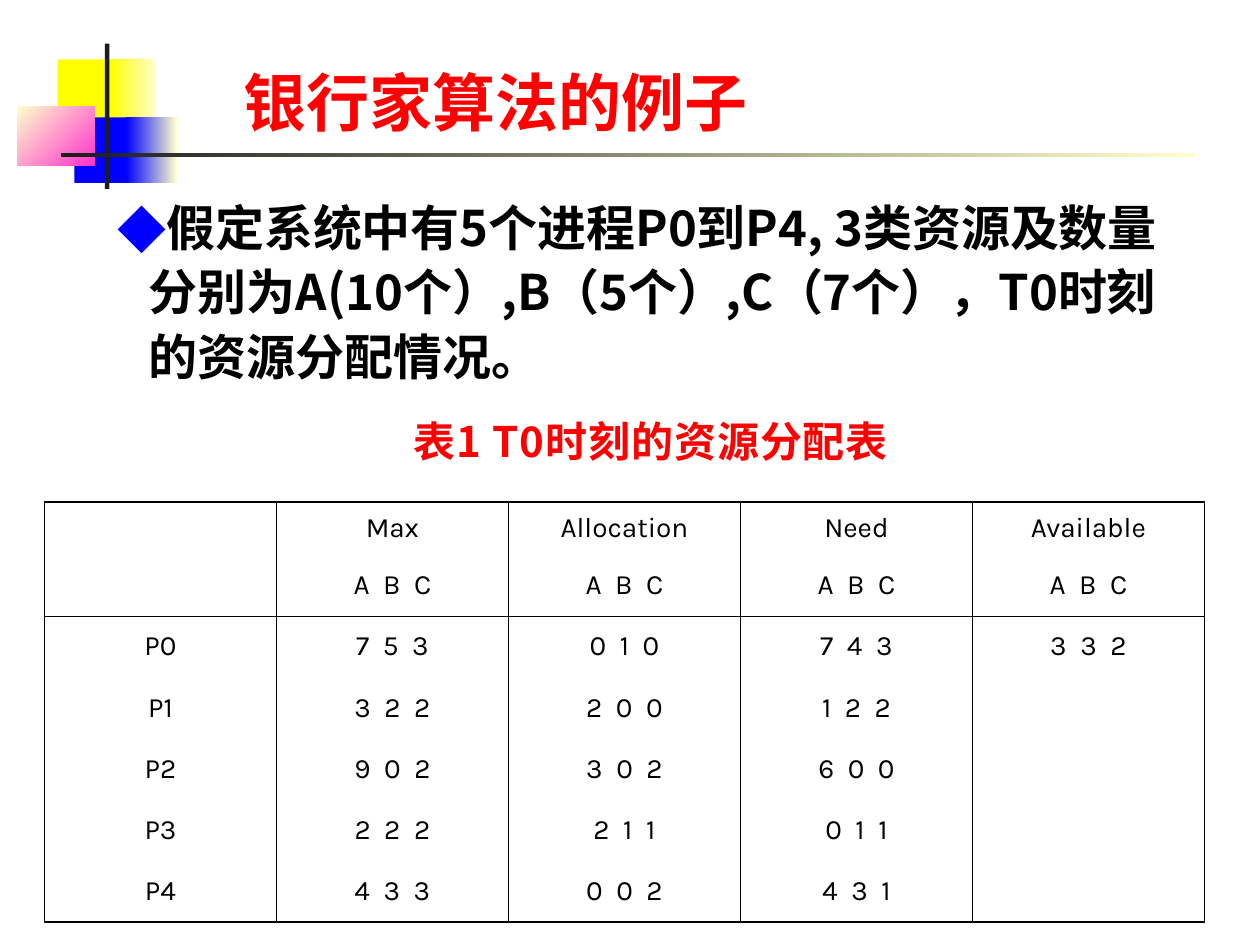
from lxml.etree import SubElement
from pptx import Presentation
from pptx.dml.color import RGBColor
from pptx.enum.shapes import MSO_SHAPE
from pptx.enum.text import MSO_ANCHOR, MSO_AUTO_SIZE, PP_ALIGN
from pptx.oxml import parse_xml
from pptx.oxml.ns import nsdecls, qn
from pptx.util import Pt

COLORS = {"yellow": "FFFF00", "cream": "FFFFCC", "blue": "0000FF", "pink": "FF33CC",
          "dark": "1C1C1C", "red": "FF0000", "black": "000000"}
HEADING_FONT, TABLE_FONT = "Noto Sans CJK SC", "Karla"
THIN, THICK = 0.45, 1.08

# left, top, width, height, start colour, end colour, clockwise angle
ORNAMENTS = [
    (33, 34, 35, 37.5, "yellow", None, 0),
    (63, 34, 26, 37.5, "yellow", "cream", 0),
    (42.5, 67, 33, 37.5, "blue", None, 0),
    (72, 67, 29, 37.5, "blue", "cream", 0),
    (10, 61, 44, 33.5, "cream", "pink", 45),
    (60, 25, 2.5, 83, "dark", None, 0),
    (35, 87.3, 648, 2.5, "dark", "cream", 0),
]

ROWS = [
    ["", "Max", "Allocation", "Need", "Available"],
    [""] + ["A B C"] * 4,
    ["P0", "7 5 3", "0 1 0", "7 4 3", "3 3 2"],
    ["P1", "3 2 2", "2 0 0", "1 2 2", ""],
    ["P2", "9 0 2", "3 0 2", "6 0 0", ""],
    ["P3", "2 2 2", "2 1 1", "0 1 1", ""],
    ["P4", "4 3 3", "0 0 2", "4 3 1", ""],
]


def rgb(name):
    return RGBColor.from_string(COLORS[name])


def add_ornament(page, left, top, width, height, start, end, angle):
    shape = page.shapes.add_shape(MSO_SHAPE.RECTANGLE, Pt(left), Pt(top), Pt(width), Pt(height))
    shape.shadow.inherit = False
    shape.line.fill.background()
    if end is None:
        shape.fill.solid()
        shape.fill.fore_color.rgb = rgb(start)
        return
    shape.fill.gradient()
    shape.fill.gradient_angle = (360 - angle) % 360
    for stop, name in zip(shape.fill.gradient_stops, (start, end)):
        stop.color.rgb = rgb(name)


def format_para(para, font, size, color, bold=False, tracking=0):
    for span in para.runs:
        span.font.name = font
        span.font.size = Pt(size)
        span.font.bold = bold
        span.font.color.rgb = rgb(color)
        SubElement(span.font._element, qn("a:ea")).set("typeface", font)
        if tracking:
            span.font._element.set("spc", str(round(tracking * 100)))


def add_text(page, text, bounds, size, color, tracking=0):
    box = page.shapes.add_textbox(*[Pt(length) for length in bounds])
    box.text_frame.word_wrap = True
    para = box.text_frame.paragraphs[0]
    para.text = text
    format_para(para, HEADING_FONT, size, color, True, tracking)
    return box.text_frame, para


def add_bullet(para, char, color, indent):
    properties = para._p.get_or_add_pPr()
    properties.set("marL", str(Pt(indent)))
    properties.set("indent", str(-Pt(indent)))
    bullet_color = SubElement(properties, qn("a:buClr"))
    SubElement(bullet_color, qn("a:srgbClr")).set("val", COLORS[color])
    SubElement(properties, qn("a:buFont")).set("typeface", HEADING_FONT)
    SubElement(properties, qn("a:buChar")).set("char", char)


def set_borders(cell, widths):
    properties = cell._tc.get_or_add_tcPr()
    for index, (side, width) in enumerate(zip("LRTB", widths)):
        paint = f'<a:solidFill><a:srgbClr val="{COLORS["black"]}"/></a:solidFill>'
        properties.insert(index, parse_xml(
            f'<a:ln{side} {nsdecls("a")} w="{Pt(width)}">'
            f'{paint if width else "<a:noFill/>"}</a:ln{side}>'))


def fill_cell(cell, text):
    cell.fill.background()
    cell.vertical_anchor = MSO_ANCHOR.MIDDLE
    para = cell.text_frame.paragraphs[0]
    para.text = text
    para.alignment = PP_ALIGN.CENTER
    para.space_before = Pt(4)
    format_para(para, TABLE_FONT, 16, "black", tracking=2 if " " in text else 0)


def add_allocation_table(page):
    row_count, column_count = len(ROWS), len(ROWS[0])
    table = page.shapes.add_table(row_count, column_count, Pt(25.4), Pt(287),
                                  Pt(663), Pt(240)).table
    table.first_row = table.horz_banding = False
    for column in table.columns:
        column.width = Pt(132.6)
    for index, row in enumerate(table.rows):
        row.height = Pt(30 if index == 0 else 35)
    for r, texts in enumerate(ROWS):
        for c, text in enumerate(texts):
            cell = table.cell(r, c)
            fill_cell(cell, text)
            # Thick frame, thin column lines, one thin line under the two header rows
            set_borders(cell, (
                THICK if c == 0 else THIN,
                THICK if c == column_count - 1 else THIN,
                {0: THICK, 2: THIN}.get(r, 0),
                {1: THIN, row_count - 1: THICK}.get(r, THIN if r == c == 0 else 0)))
    table.cell(0, 0).merge(table.cell(1, 0))


def main():
    deck = Presentation()
    deck.slide_width, deck.slide_height = Pt(720), Pt(540)
    page = deck.slides.add_slide(deck.slide_layouts[6])

    # Corner ornament and title rule
    for ornament in ORNAMENTS:
        add_ornament(page, *ornament)

    # Title
    frame, para = add_text(page, "银行家算法的例子", (132, 20, 432, 63), 36, "red")
    frame.vertical_anchor = MSO_ANCHOR.BOTTOM

    # Problem statement
    frame, para = add_text(
        page, "假定系统中有5个进程P0到P4, 3类资源及数量分别为A(10个）,B（5个）,C（7个），"
        "T0时刻的资源分配情况。", (60, 106, 631, 130), 28, "black")
    frame.auto_size = MSO_AUTO_SIZE.TEXT_TO_FIT_SHAPE
    para.line_spacing = 1.1
    para.space_before = Pt(7)
    add_bullet(para, "◆", "blue", 18)

    # Table and its caption
    add_allocation_table(page)
    frame, para = add_text(page, "表1 T0时刻的资源分配表", (229.5, 234, 318, 36), 24, "red", 0.5)
    frame.auto_size = MSO_AUTO_SIZE.SHAPE_TO_FIT_TEXT
    para.space_before = Pt(15)

    deck.save("out.pptx")


main()
